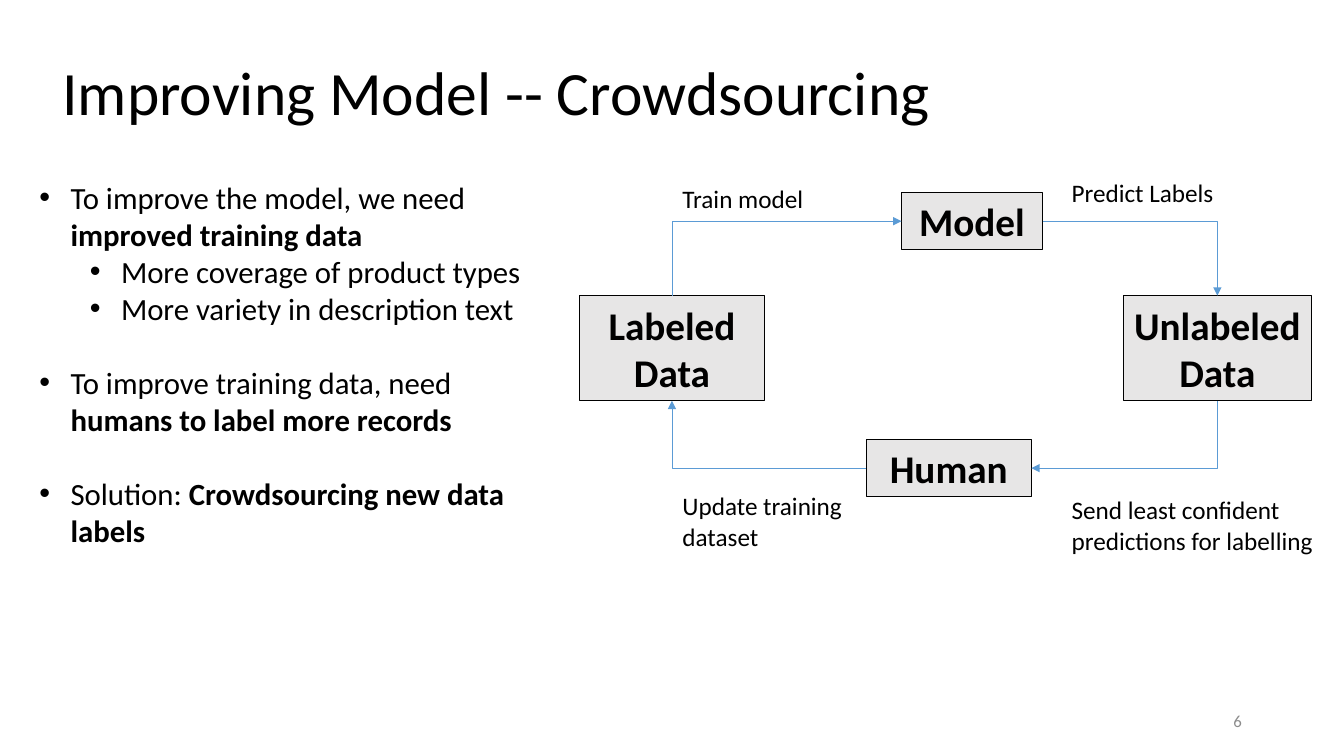
from dataclasses import dataclass

from lxml import etree
from pptx import Presentation
from pptx import util as u
from pptx.dml.color import RGBColor
from pptx.enum import shapes, text
from pptx.oxml import ns


@dataclass(frozen=True)
class Theme:
    font: str = "Calibri"
    ink: str = "000000"
    muted: str = "8C8C8C"
    box: str = "E7E6E6"
    arrow: str = "5B9BD5"
    title: int = 44
    node: int = 28
    body: int = 22
    label: int = 18
    number: int = 12


THEME = Theme()
WIDTH, HEIGHT = u.Inches(13.333), u.Inches(7.5)
TOP, LEFT, BOTTOM, RIGHT = range(4)  # connection sites of a rectangle

# Positions and sizes are percentages of the slide's width and height
TITLE_AREA = (3.9, 7.6, 90.4, 10.93)
BODY_AREA = (2.18, 22.93, 39.6, 50.67)
NUMBER_AREA = (70.65, 92.67, 22.5, 5.33)
LEFT_LABELS, RIGHT_LABELS = 50.04, 79

# Level, gap before in points, and runs of (text, bold)
BULLETS = [
    (0, 0, [("To improve the model, we need ", False), ("improved training data", True)]),
    (1, 0, [("More coverage of product types", False)]),
    (1, 0, [("More variety in description text", False)]),
    (0, 26.5, [("To improve training data, need ", False), ("humans to label more records", True)]),
    (0, 26.5, [("Solution: ", False), ("Crowdsourcing new data labels", True)]),
]

# Centre and size of each box in the cycle
NODES = {
    "Model": (72.32, 29.27, 10.5, 7.6),
    "Human": (70.59, 61.93, 12.3, 7.6),
    "Labeled Data": (50, 46.07, 13.73, 13.9),
    "Unlabeled Data": (90.58, 46.07, 14.03, 13.9),
}

ARROWS = [
    ("Labeled Data", TOP, "Model", LEFT),
    ("Model", RIGHT, "Unlabeled Data", TOP),
    ("Unlabeled Data", BOTTOM, "Human", RIGHT),
    ("Human", LEFT, "Labeled Data", BOTTOM),
]

# Text, area, wrapping
LABELS = [
    ("Train model", (LEFT_LABELS, 23.6, 10.58, 5.33), False),
    ("Predict Labels", (RIGHT_LABELS, 22.8, 12.23, 5.33), False),
    ("Send least confident predictions for labelling", (RIGHT_LABELS, 64.8, 19.43, 13.47), True),
    ("Update training dataset", (LEFT_LABELS, 64.27, 17.1, 9.47), True),
]


def area(left, top, width, height):
    return (int(WIDTH * left / 100), int(HEIGHT * top / 100),
            int(WIDTH * width / 100), int(HEIGHT * height / 100))


def place(shape, box):
    shape.left, shape.top, shape.width, shape.height = area(*box)


def write(paragraph, words, size, color=THEME.ink, bold=False, align=text.PP_ALIGN.LEFT):
    paragraph.alignment = align
    run = paragraph.add_run()
    run.text = words
    run.font.name = THEME.font
    run.font.size = u.Pt(size)
    run.font.bold = bold
    run.font.color.rgb = RGBColor.from_string(color)


def add_title(slide, words):
    title = slide.shapes.title
    place(title, TITLE_AREA)
    title.text_frame.vertical_anchor = text.MSO_ANCHOR.TOP
    title.text_frame.auto_size = text.MSO_AUTO_SIZE.NONE
    paragraph = title.text_frame.paragraphs[0]
    paragraph.line_spacing = 0.9
    write(paragraph, words, THEME.title)


def set_bullet(paragraph, indent):
    properties = paragraph._p.get_or_add_pPr()
    properties.set("marL", str(u.Inches(indent)))
    properties.set("indent", str(u.Inches(-0.31)))
    font = etree.SubElement(properties, ns.qn("a:buFont"))
    font.set("typeface", "Arial")
    etree.SubElement(properties, ns.qn("a:buChar")).set("char", "•")


def add_bullets(slide, bullets):
    body = slide.placeholders[1]
    place(body, BODY_AREA)
    frame = body.text_frame
    frame.auto_size = text.MSO_AUTO_SIZE.NONE
    for index, (level, gap, runs) in enumerate(bullets):
        paragraph = frame.add_paragraph() if index else frame.paragraphs[0]
        paragraph.level = level
        set_bullet(paragraph, 0.31 + 0.5 * level)
        paragraph.space_before = u.Pt(gap)
        for words, bold in runs:
            write(paragraph, words, THEME.body, bold=bold)


def add_node(slide, words, center_x, center_y, width, height):
    box = area(center_x - width / 2, center_y - height / 2, width, height)
    node = slide.shapes.add_shape(shapes.MSO_SHAPE.RECTANGLE, *box)
    node.shadow.inherit = False
    node.fill.solid()
    node.fill.fore_color.rgb = RGBColor.from_string(THEME.box)
    node.line.color.rgb = RGBColor.from_string(THEME.ink)
    node.line.width = u.Pt(0.75)
    node.text_frame.word_wrap = True
    write(node.text_frame.paragraphs[0], words, THEME.node, bold=True,
          align=text.PP_ALIGN.CENTER)
    return node


def add_arrow(slide, source, source_site, target, target_site):
    arrow = slide.shapes.add_connector(shapes.MSO_CONNECTOR.ELBOW, 0, 0, 0, 0)
    arrow.begin_connect(source, source_site)
    arrow.end_connect(target, target_site)
    properties = arrow._element.spPr
    properties.find(ns.qn("a:prstGeom")).set("prst", "bentConnector2")

    # The preset runs sideways first; a quarter turn makes it run vertically first
    if source_site in (TOP, BOTTOM):
        center_x = (arrow.begin_x + arrow.end_x) // 2
        center_y = (arrow.begin_y + arrow.end_y) // 2
        half_x = (arrow.end_y - arrow.begin_y) // 2
        half_y = (arrow.begin_x - arrow.end_x) // 2
        arrow.begin_x, arrow.end_x = center_x - half_x, center_x + half_x
        arrow.begin_y, arrow.end_y = center_y - half_y, center_y + half_y
        properties.find(ns.qn("a:xfrm")).set("rot", str(90 * 60000))

    arrow.line.color.rgb = RGBColor.from_string(THEME.arrow)
    arrow.line.width = u.Pt(0.5)
    line = properties.find(ns.qn("a:ln"))
    etree.SubElement(line, ns.qn("a:tailEnd")).set("type", "triangle")
    etree.SubElement(properties, ns.qn("a:effectLst"))


def add_label(slide, words, box, wrap=True, anchor=text.MSO_ANCHOR.TOP, **style):
    frame = slide.shapes.add_textbox(*area(*box)).text_frame
    frame.word_wrap = wrap
    frame.vertical_anchor = anchor
    write(frame.paragraphs[0], words, **style)


def main():
    presentation = Presentation()
    presentation.slide_width, presentation.slide_height = WIDTH, HEIGHT
    slide = presentation.slides.add_slide(presentation.slide_layouts[1])

    # Title and list
    add_title(slide, "Improving Model -- Crowdsourcing")
    add_bullets(slide, BULLETS)

    # Training cycle
    nodes = {name: add_node(slide, name, *box) for name, box in NODES.items()}
    for source, source_site, target, target_site in ARROWS:
        add_arrow(slide, nodes[source], source_site, nodes[target], target_site)
    for words, box, wrap in LABELS:
        add_label(slide, words, box, wrap, size=THEME.label)

    # Slide number
    add_label(slide, "6", NUMBER_AREA, anchor=text.MSO_ANCHOR.MIDDLE, size=THEME.number,
              color=THEME.muted, align=text.PP_ALIGN.RIGHT)

    presentation.save("out.pptx")


if __name__ == "__main__":
    main()
